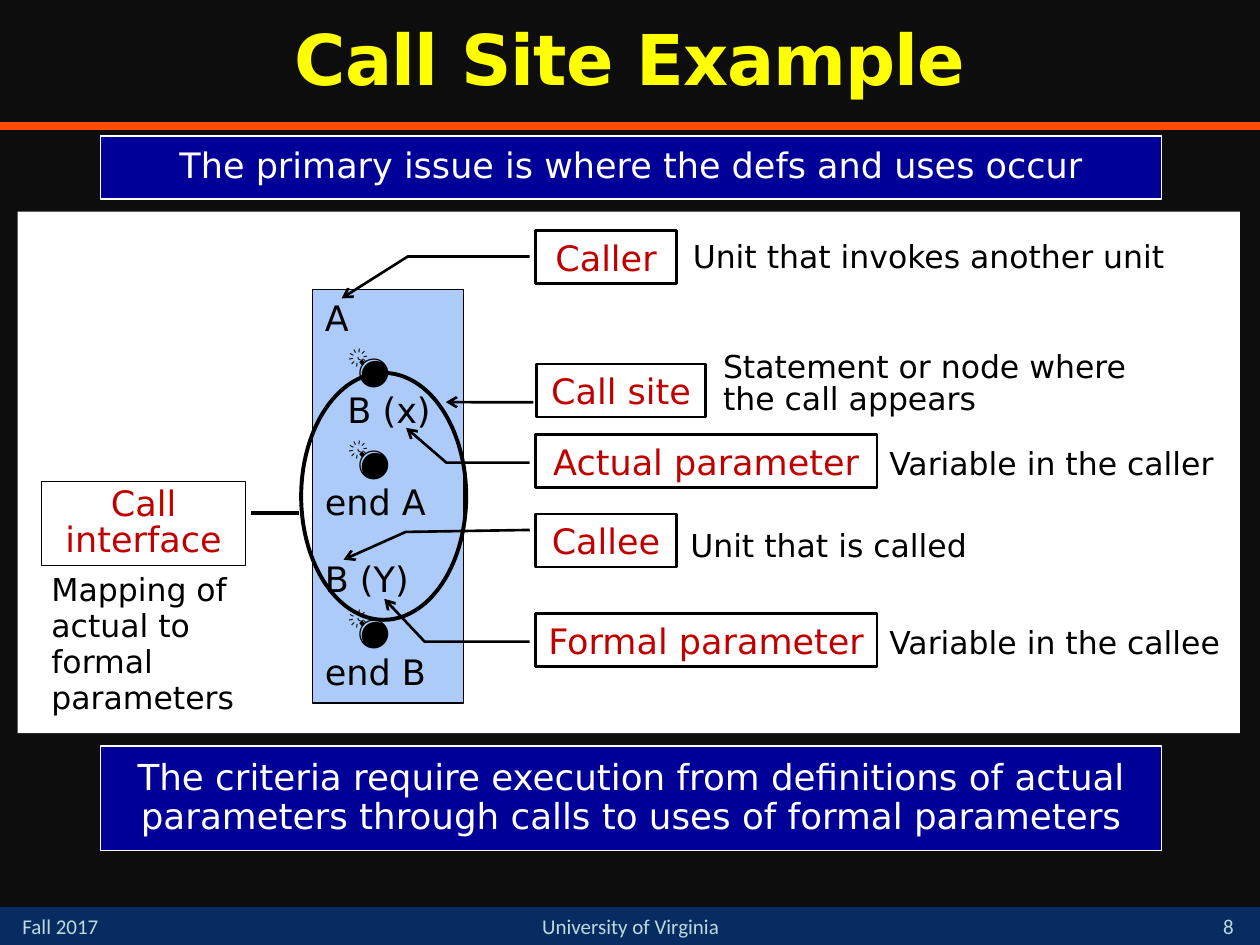
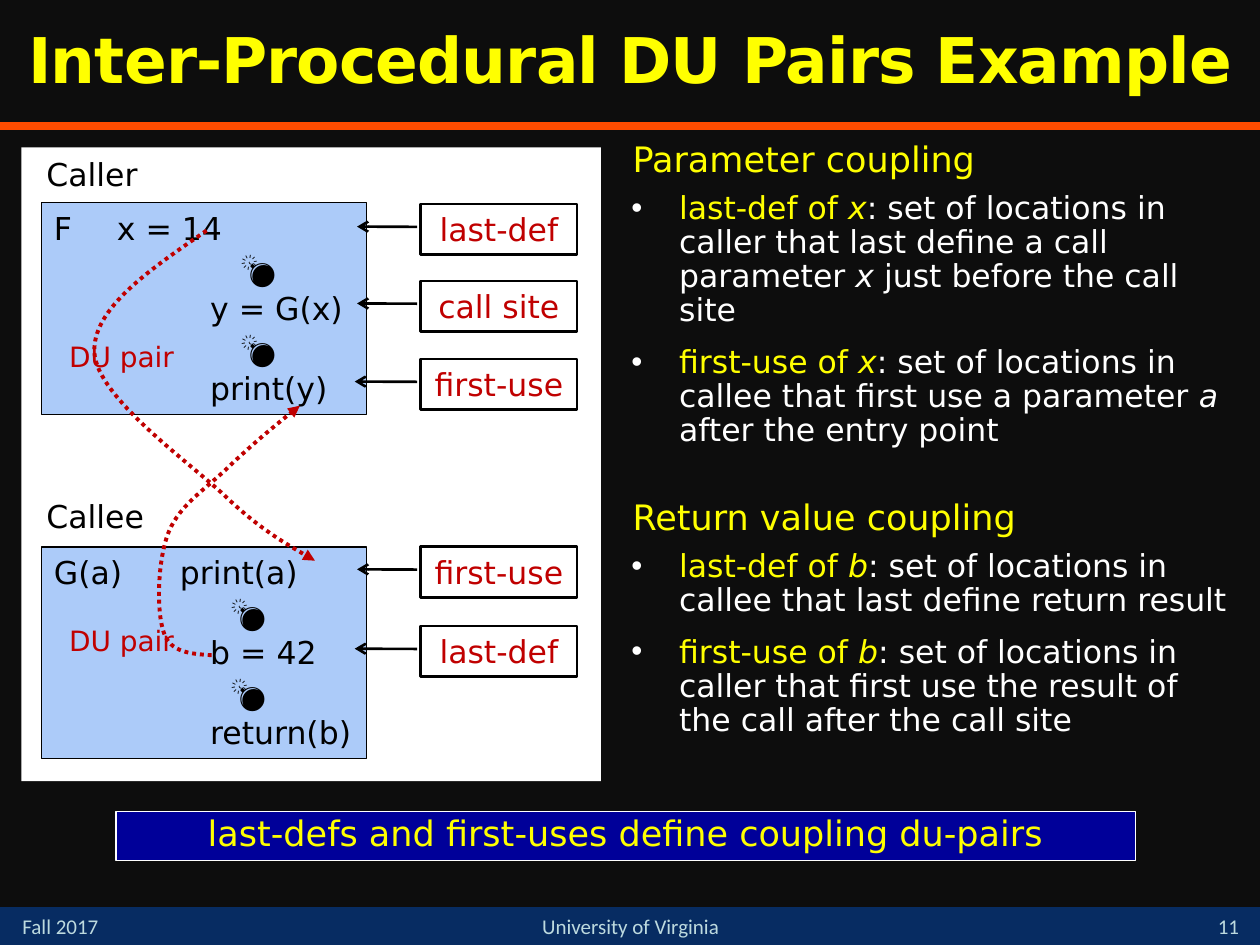
from dataclasses import dataclass
from typing import NamedTuple

from lxml.etree import SubElement
from pptx import Presentation
from pptx.dml.color import RGBColor
from pptx.enum.dml import MSO_LINE
from pptx.enum.shapes import MSO_CONNECTOR, MSO_SHAPE
from pptx.enum.text import MSO_ANCHOR, MSO_AUTO_SIZE, PP_ALIGN
from pptx.oxml.ns import qn
from pptx.util import Inches, Pt

BACKGROUND, FOOTER_BAND, FOOTER_TEXT = "0D0D0D", "072C62", "BDDADF"
RULE, BANNER, CODE_FILL = "FF4C00", "000099", "ACCBF9"
BLACK, WHITE, YELLOW, RED = "000000", "FFFFFF", "FFFF00", "C00000"
FONT, FOOTER_FONT = "DejaVu Sans", "Calibri"
CENTER = PP_ALIGN.CENTER
TOP, MIDDLE, BOTTOM = MSO_ANCHOR.TOP, MSO_ANCHOR.MIDDLE, MSO_ANCHOR.BOTTOM
BOMB = "💣"


class Box(NamedTuple):
    x: float
    y: float
    w: float
    h: float

    def emu(self) -> list:
        return [Inches(v) for v in self]


class Run(NamedTuple):
    text: str
    color: str = WHITE
    italic: bool = False


class CodeLine(NamedTuple):
    text: str
    indent: float = 0
    before: float = 0


@dataclass
class Term:
    """A boxed term with its leader line and its explanation."""
    label: str
    box: Box
    leader: tuple
    note: str
    note_box: Box


@dataclass
class Unit:
    """A program unit: its heading, code and the note on its DU pair."""
    name: str
    name_top: float
    box: Box
    lines: list
    pair_top: float


@dataclass
class Coupling:
    heading: str
    box: Box
    items: list


def rgb(color: str) -> RGBColor:
    return RGBColor.from_string(color)


def set_frame(tf, anchor=TOP):
    tf.word_wrap = True
    tf.auto_size = MSO_AUTO_SIZE.NONE
    tf.vertical_anchor = anchor
    return tf


def add_text(tf, text, *, size=18, color=BLACK, font=FONT, bold=False, align=None,
             spacing=None, before=0, indent=0, hang=0, bullet=None, tab=None, track=None):
    """Append a paragraph; text is a string or a list of Runs."""
    p = tf.paragraphs[0]
    if p.runs:
        p = tf.add_paragraph()
    pPr = p._p.get_or_add_pPr()
    pPr.set("marL", str(Inches(indent)))
    pPr.set("indent", str(Inches(-hang)))
    if bullet:
        SubElement(SubElement(pPr, qn("a:buClr")), qn("a:srgbClr"), val=WHITE)
        SubElement(pPr, qn("a:buChar"), char=bullet)
    else:
        SubElement(pPr, qn("a:buNone"))
    if tab:
        tabs = SubElement(pPr, qn("a:tabLst"))
        SubElement(tabs, qn("a:tab"), pos=str(Inches(tab)), algn="l")
    p.alignment = align
    p.space_before = Pt(before)
    if spacing:
        p.line_spacing = spacing
    for run in [Run(text, color)] if isinstance(text, str) else text:
        r = p.add_run()
        r.text = run.text
        r.font.name, r.font.size = font, Pt(size)
        r.font.bold, r.font.italic = bold, run.italic
        r.font.color.rgb = rgb(run.color)
        if track:
            r._r.get_or_add_rPr().set("spc", str(track))


def add_label(slide, box: Box, text: str, anchor=TOP, **fmt):
    s = slide.shapes.add_textbox(*box.emu())
    add_text(set_frame(s.text_frame, anchor), text, **fmt)


def set_line(line, color: str, width: float, arrow: str = "", dash=None):
    line.color.rgb = rgb(color)
    line.width = Pt(width)
    if dash:
        line.dash_style = dash
    if arrow:
        SubElement(line._get_or_add_ln(), qn("a:tailEnd"), type=arrow)


def add_shape(slide, box: Box, fill=None, line=None, width=0.75, kind=MSO_SHAPE.RECTANGLE,
              arrow=""):
    s = slide.shapes.add_shape(kind, *box.emu())
    s.shadow.inherit = False
    if fill:
        s.fill.solid()
        s.fill.fore_color.rgb = rgb(fill)
    else:
        s.fill.background()
    if line:
        set_line(s.line, line, width, arrow)
    else:
        s.line.fill.background()
    return s


def add_line(slide, x1: float, x2: float, y: float, color: str, width: float):
    c = slide.shapes.add_connector(MSO_CONNECTOR.STRAIGHT, Inches(x1), Inches(y),
                                   Inches(x2), Inches(y))
    set_line(c.line, color, width)
    SubElement(c._element.spPr, qn("a:effectLst"))


def add_banner(slide, box: Box, text: str, **fmt):
    s = add_shape(slide, box, BANNER, WHITE)
    add_text(set_frame(s.text_frame, MIDDLE), text, align=CENTER, **fmt)


def add_callout(slide, box: Box, label: str, leader: tuple, size: float):
    """Draw a boxed label; leader holds y, x pairs relative to the box."""
    kind = MSO_SHAPE.LINE_CALLOUT_1 if len(leader) == 4 else MSO_SHAPE.LINE_CALLOUT_2
    s = add_shape(slide, box, None, BLACK, 1.5, kind, "arrow")
    for i, value in enumerate(leader):
        s.adjustments[i] = value
    add_text(set_frame(s.text_frame, MIDDLE), label, size=size, color=RED, align=CENTER)


def add_code(slide, box: Box, lines: list, size: float, bomb_size: float, tab=None):
    tf = set_frame(add_shape(slide, box, CODE_FILL, BLACK).text_frame)
    tf.margin_right = 0
    for line in lines:
        bomb = line.text == BOMB
        add_text(tf, line.text, size=bomb_size if bomb else size, bold=bomb,
                 align=PP_ALIGN.LEFT, indent=line.indent, before=line.before, tab=tab)


def add_curve(slide, points: list):
    """Draw a dotted arrow from a start point and triples of Bezier points."""
    start, *rest = [(Inches(x), Inches(y)) for x, y in points]
    builder = slide.shapes.build_freeform(*start)
    builder.add_line_segments(rest, close=False)
    s = builder.convert_to_shape()
    s.shadow.inherit = False
    s.fill.background()
    set_line(s.line, RED, 2.25, "triangle", MSO_LINE.ROUND_DOT)
    outline = next(s._element.iter(qn("a:path")))
    segments = outline.findall(qn("a:lnTo"))
    for i in range(0, len(segments), 3):
        bezier = SubElement(outline, qn("a:cubicBezTo"))
        for segment in segments[i:i + 3]:
            bezier.append(segment[0])
            outline.remove(segment)


def add_slide(prs, layout: int, title: str, title_size: float, number: int):
    slide = prs.slides.add_slide(prs.slide_layouts[layout])
    add_shape(slide, Box(0, 7.2, 10, 0.3), FOOTER_BAND)
    add_line(slide, 0, 10, 1, RULE, 4.5)
    footer = dict(size=12, color=FOOTER_TEXT, font=FOOTER_FONT)
    add_label(slide, Box(0.08, 7.2, 1.17, 0.3), "Fall 2017", **footer)
    add_label(slide, Box(3.67, 7.2, 2.67, 0.3), "University of Virginia", align=CENTER, **footer)
    add_label(slide, Box(9.5, 7.17, 0.5, 0.33), str(number), BOTTOM, align=CENTER, **footer)
    s = slide.shapes.title
    place(s, Box(0, 0, 10, 1))
    add_text(set_frame(s.text_frame, MIDDLE), title, size=title_size, color=YELLOW, bold=True,
             align=CENTER, spacing=0.9, track=-50)
    return slide


def place(s, box: Box):
    s.left, s.top, s.width, s.height = box.emu()


CALL_CODE = [
    CodeLine("A"), CodeLine(BOMB, 0.18), CodeLine("B (x)", 0.18), CodeLine(BOMB, 0.18),
    CodeLine("end A"), CodeLine("B (Y)", before=20), CodeLine(BOMB, 0.18), CodeLine("end B"),
]
TERMS = [
    Term("Caller", Box(4.25, 1.83, 1.12, 0.42), (0.49, -0.041, 0.49, -0.905, 1.281, -1.374),
         "Unit that invokes another unit", Box(5.38, 1.88, 4, 0.66)),
    Term("Call site", Box(4.26, 2.89, 1.34, 0.42), (0.721, -0.02, 0.717, -0.538),
         "Statement or node where the call appears", Box(5.62, 2.75, 3.5, 0.66)),
    Term("Actual parameter", Box(4.25, 3.45, 2.71, 0.42),
         (0.529, -0.017, 0.529, -0.261, -0.129, -0.379),
         "Variable in the caller", Box(6.94, 3.52, 2.91, 0.36)),
    Term("Callee", Box(4.25, 4.08, 1.12, 0.42), (0.3, -0.041, 0.338, -0.92, 0.862, -1.36),
         "Unit that is called", Box(5.36, 4.17, 2.75, 0.48)),
    Term("Formal parameter", Box(4.25, 4.87, 2.71, 0.42),
         (0.529, -0.017, 0.529, -0.325, -0.281, -0.443),
         "Variable in the callee", Box(6.94, 4.94, 2.89, 0.35)),
]

CODE_TAB = 1.24
UNITS = [
    Unit("Caller", 1.23, Box(0.33, 1.61, 2.58, 1.68),
         [CodeLine("F\tx = 14"), CodeLine(BOMB, 1.48), CodeLine("y = G(x)", CODE_TAB),
          CodeLine(BOMB, 1.48), CodeLine("print(y)", CODE_TAB)], 2.69),
    Unit("Callee", 3.94, Box(0.33, 4.34, 2.58, 1.68),
         [CodeLine("G(a)\tprint(a)"), CodeLine(BOMB, 1.4), CodeLine("b = 42", CODE_TAB),
          CodeLine(BOMB, 1.4), CodeLine("return(b)", CODE_TAB)], 4.94),
]
# Label, top and horizontal reach of the arrow
MARKS = [("last-def", 1.62, -0.408), ("call site", 2.23, -0.408), ("first-use", 2.85, -0.423),
         ("first-use", 4.34, -0.408), ("last-def", 4.97, -0.423)]
DU_CURVES = [
    [(1.64, 1.83), (1.19, 2.14), (0.73, 2.45), (0.75, 2.8), (0.77, 3.15), (1.49, 3.66),
     (1.78, 3.93), (2.07, 4.21), (2.5, 4.45), (2.5, 4.45)],
    [(1.68, 5.2), (1.52, 5.19), (1.35, 5.18), (1.3, 5.02), (1.24, 4.85), (1.25, 4.44),
     (1.34, 4.22), (1.43, 4), (1.65, 3.87), (1.82, 3.7), (2, 3.53), (2.19, 3.37), (2.38, 3.22)],
]


def definition(term: str, variable: str, *rest: Run) -> list:
    return [Run(f"{term} of ", YELLOW), Run(variable, YELLOW, True), *rest]


COUPLINGS = [
    Coupling("Parameter coupling", Box(4.9, 1.08, 4.97, 2.67), [
        definition("last-def", "x",
                   Run(": set of locations in caller that last define a call parameter "),
                   Run("x", italic=True), Run(" just before the call site")),
        definition("first-use", "x",
                   Run(": set of locations in callee that first use a parameter "),
                   Run("a", italic=True), Run(" after the entry point"))]),
    Coupling("Return value coupling", Box(4.9, 3.92, 4.97, 2.25), [
        definition("last-def", "b",
                   Run(": set of locations in callee that last define return result")),
        definition("first-use", "b",
                   Run(": set of locations in caller that first use the result of the call "
                       "after the call site"))]),
]


def build_call_site(prs):
    slide = add_slide(prs, 5, "Call Site Example", 40, 8)
    add_shape(slide, Box(0.14, 1.68, 9.7, 4.14), WHITE)
    add_banner(slide, Box(0.8, 1.08, 8.42, 0.5),
               "The primary issue is where the defs and uses occur",
               size=20, color=WHITE, spacing=0.9)
    add_code(slide, Box(2.48, 2.3, 1.2, 3.28), CALL_CODE, 20, 24)
    for term in TERMS:
        add_callout(slide, term.box, term.label, term.leader, 20)
        add_label(slide, term.note_box, term.note, spacing=0.85, indent=0.02)
    interface = add_shape(slide, Box(0.33, 3.82, 1.62, 0.67), None, BLACK)
    add_text(set_frame(interface.text_frame, MIDDLE), "Call interface", size=20, color=RED,
             align=CENTER, spacing=0.85)
    add_line(slide, 2.37, 1.99, 4.07, BLACK, 2.25)
    add_shape(slide, Box(2.39, 2.96, 1.31, 1.96), None, BLACK, 2.25, MSO_SHAPE.OVAL)
    add_label(slide, Box(0.29, 4.5, 2.1, 1.31), "Mapping of actual to formal parameters",
              spacing=0.95, indent=0.02)
    add_banner(slide, Box(0.8, 5.92, 8.42, 0.83),
               "The criteria require execution from definitions of actual parameters "
               "through calls to uses of formal parameters",
               size=20.4, color=WHITE, spacing=0.9)


def build_du_pairs(prs):
    slide = add_slide(prs, 3, "Inter-Procedural DU Pairs Example", 36, 11)
    add_shape(slide, Box(0.17, 1.17, 4.6, 5.03), WHITE)
    for unit in UNITS:
        add_code(slide, unit.box, unit.lines, 18, 20, CODE_TAB)
        add_label(slide, Box(0.25, unit.name_top, 1.32, 0.38), unit.name,
                  spacing=0.85, indent=0.02)
        add_label(slide, Box(0.43, unit.pair_top, 1.32, 0.38), "DU pair", size=16, color=RED,
                  spacing=0.85, indent=0.02)
    for points in DU_CURVES:
        add_curve(slide, points)
    for label, top, reach in MARKS:
        add_callout(slide, Box(3.34, top, 1.24, 0.4), label, (0.452, -0.024, 0.447, reach), 18)
    for idx, coupling in enumerate(COUPLINGS, start=1):
        s = slide.placeholders[idx]
        place(s, coupling.box)
        tf = set_frame(s.text_frame)
        add_text(tf, coupling.heading, size=20, color=YELLOW, spacing=0.9, indent=0.02)
        for before, item in zip((7, 10), coupling.items):
            add_text(tf, item, spacing=0.9, before=before, indent=0.39, hang=0.38, bullet="•")
    add_banner(slide, Box(0.92, 6.44, 8.09, 0.39),
               "last-defs and first-uses define coupling du-pairs",
               size=20, color=YELLOW, spacing=0.85)


def main():
    prs = Presentation()
    prs.slide_width, prs.slide_height = Inches(10), Inches(7.5)
    fill = prs.slide_master.background.fill
    fill.solid()
    fill.fore_color.rgb = rgb(BACKGROUND)
    build_call_site(prs)
    build_du_pairs(prs)
    prs.save("out.pptx")


if __name__ == "__main__":
    main()
